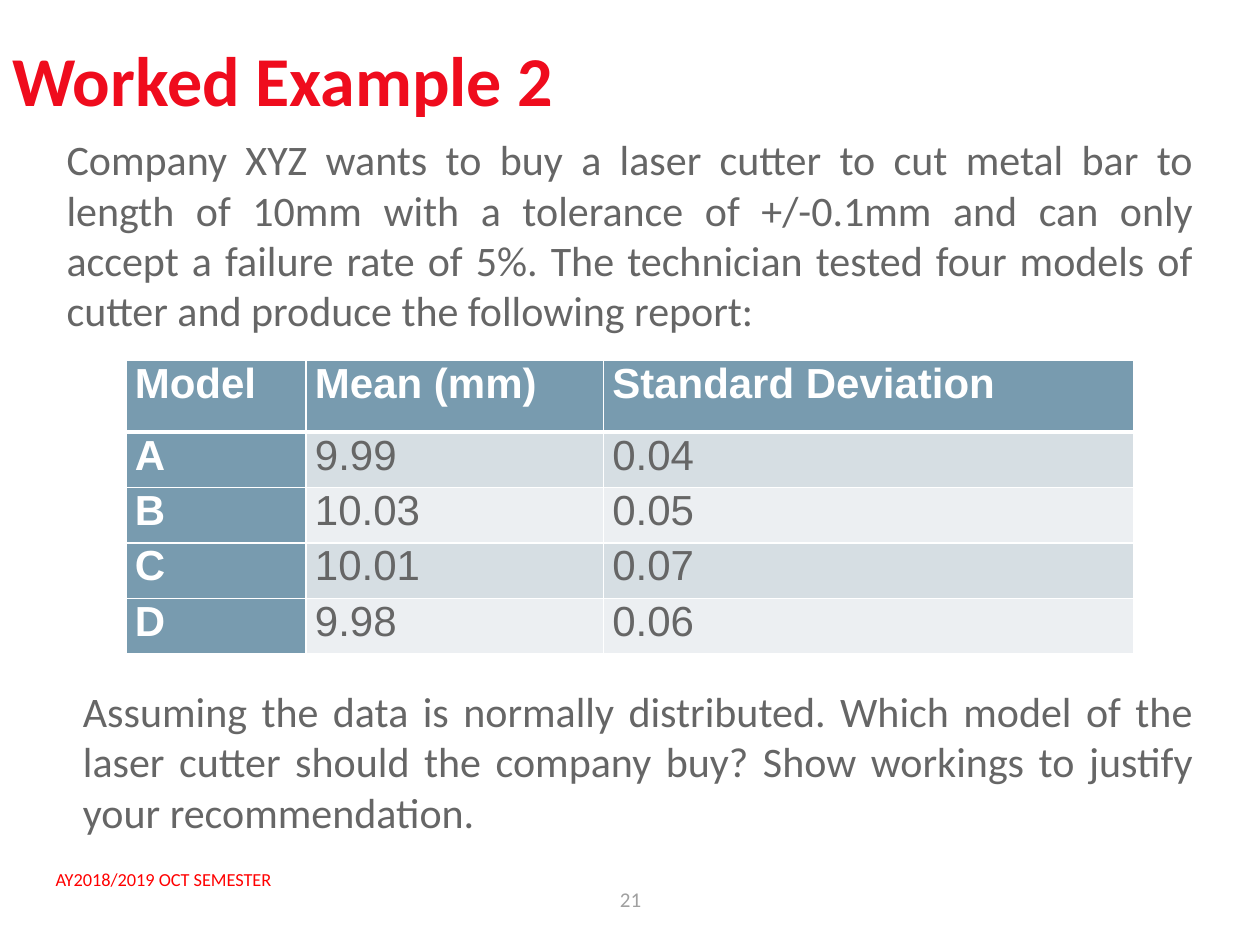
from lxml.etree import SubElement
from pptx import Presentation
from pptx.dml.color import RGBColor
from pptx.enum.text import MSO_ANCHOR as Anchor, PP_ALIGN as Align
from pptx.oxml.ns import qn
from pptx.util import Inches, Pt

COLORS = {
    "title": "EF0C1D", "footer": "FF0000", "number": "A0A0A0",
    "body": "666666", "white": "FFFFFF", "header": "789BAF",
    "band_dark": "D6DEE3", "band_light": "ECEFF2",
}

REPORT = [
    ("Model", "Mean (mm)", "Standard Deviation"),
    ("A", "9.99", "0.04"),
    ("B", "10.03", "0.05"),
    ("C", "10.01", "0.07"),
    ("D", "9.98", "0.06"),
]
COLUMN_WIDTHS = (1.43, 2.36, 4.21)
HEADER_HEIGHT, ROW_HEIGHT = 0.57, 0.44

QUESTION = (
    "Company XYZ wants to buy a laser cutter to cut metal bar to length of "
    "10mm with a tolerance of +/-0.1mm and can only accept a failure rate of "
    "5%. The technician tested four models of cutter and produce the "
    "following report:"
)
TASK = (
    "Assuming the data is normally distributed. Which model of the laser "
    "cutter should the company buy? Show workings to justify your "
    "recommendation."
)


def rgb(color):
    return RGBColor.from_string(COLORS[color])


def write(frame, text, size, color, font="Calibri", bold=False, align=Align.LEFT):
    paragraph = frame.paragraphs[0]
    paragraph.alignment = align
    run = paragraph.add_run()
    run.text = text
    run.font.name = font
    run.font.size = Pt(size)
    run.font.bold = bold
    run.font.color.rgb = rgb(color)


def add_text(slide, box, text, size, color, anchor=Anchor.TOP, **style):
    frame = slide.shapes.add_textbox(*map(Inches, box)).text_frame
    frame.word_wrap = True
    frame.vertical_anchor = anchor
    write(frame, text, size, color, **style)


def set_borders(cell, widths):
    """Draw white borders; widths are points for left, right, top, bottom."""
    properties = cell._tc.get_or_add_tcPr()
    for side, width in zip("LRTB", widths):
        line = SubElement(properties, qn(f"a:ln{side}"), w=str(Pt(width)))
        fill = SubElement(line, qn("a:solidFill"))
        SubElement(fill, qn("a:srgbClr"), val=COLORS["white"])


def fill_cell(cell, text, row, column):
    is_heading = row == 0 or column == 0
    band = "band_dark" if row % 2 else "band_light"
    set_borders(cell, (1, 1, 3 if row == 1 else 1, 3 if row == 0 else 1))
    cell.fill.solid()
    cell.fill.fore_color.rgb = rgb("header" if is_heading else band)
    cell.margin_left = cell.margin_right = Inches(0.07)
    cell.margin_top = cell.margin_bottom = 0
    write(cell.text_frame, text, 24, "white" if is_heading else "body",
          font="Arial", bold=is_heading, align=Align.JUSTIFY)


def add_report(slide, left, top):
    heights = [HEADER_HEIGHT] + [ROW_HEIGHT] * (len(REPORT) - 1)
    table = slide.shapes.add_table(
        len(REPORT), len(COLUMN_WIDTHS), Inches(left), Inches(top),
        Inches(sum(COLUMN_WIDTHS)), Inches(sum(heights))).table
    table.first_col = True
    for column, width in zip(table.columns, COLUMN_WIDTHS):
        column.width = Inches(width)
    for row, height in zip(table.rows, heights):
        row.height = Inches(height)
    for row, values in enumerate(REPORT):
        for column, text in enumerate(values):
            fill_cell(table.cell(row, column), text, row, column)


def main():
    deck = Presentation()
    deck.slide_width, deck.slide_height = Inches(10), Inches(7.5)
    slide = deck.slides.add_slide(deck.slide_layouts[6])

    add_text(slide, (0.31, 6.84, 5.73, 0.28), " AY2018/2019 OCT SEMESTER",
             10.5, "footer")
    add_text(slide, (3.84, 6.94, 2.33, 0.4), "21", 12, "number",
             Anchor.MIDDLE, align=Align.CENTER)
    add_text(slide, (0, 0, 10, 1.25), "Worked Example 2", 40, "title",
             Anchor.MIDDLE, bold=True)
    add_report(slide, 1, 2.86)
    add_text(slide, (0.43, 1, 9.14, 1.72), QUESTION, 24, "body",
             Anchor.MIDDLE, align=Align.JUSTIFY)
    add_text(slide, (0.56, 5.39, 9.01, 1.31), TASK, 24, "body",
             align=Align.JUSTIFY)

    deck.save("out.pptx")


if __name__ == "__main__":
    main()
